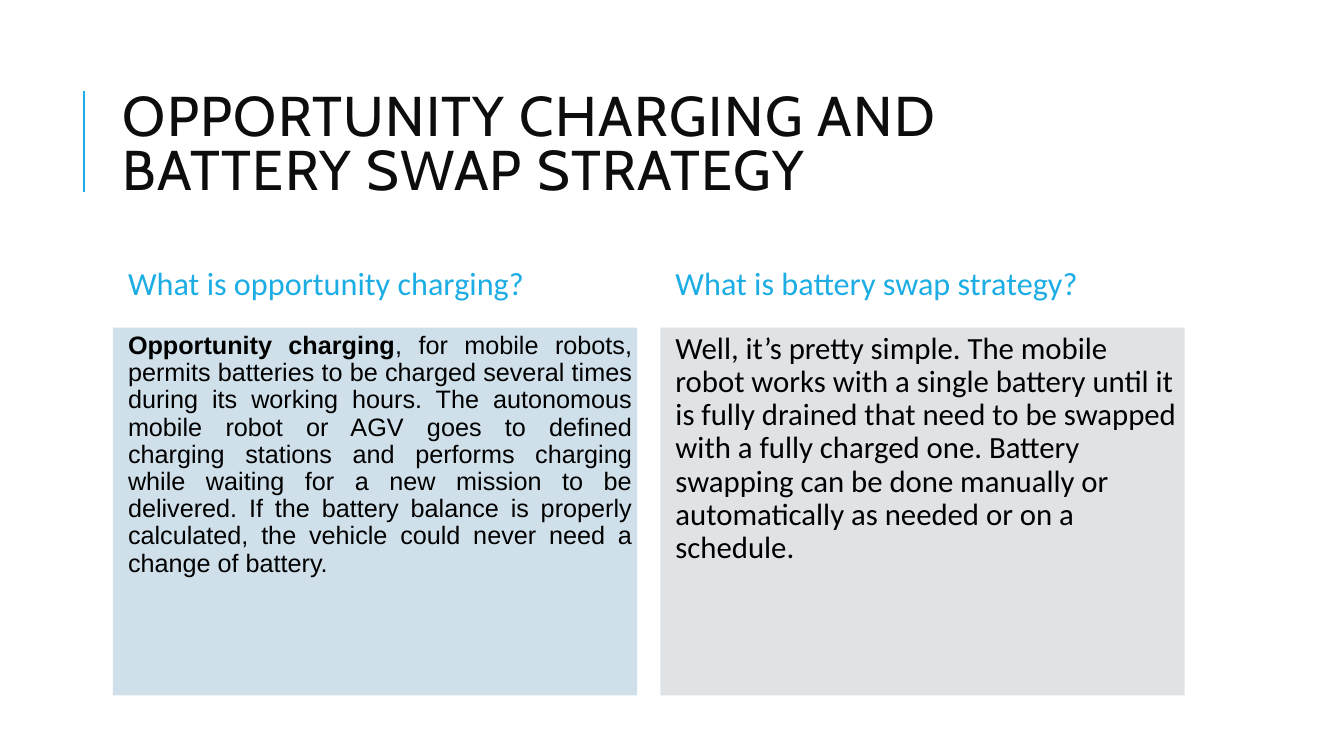
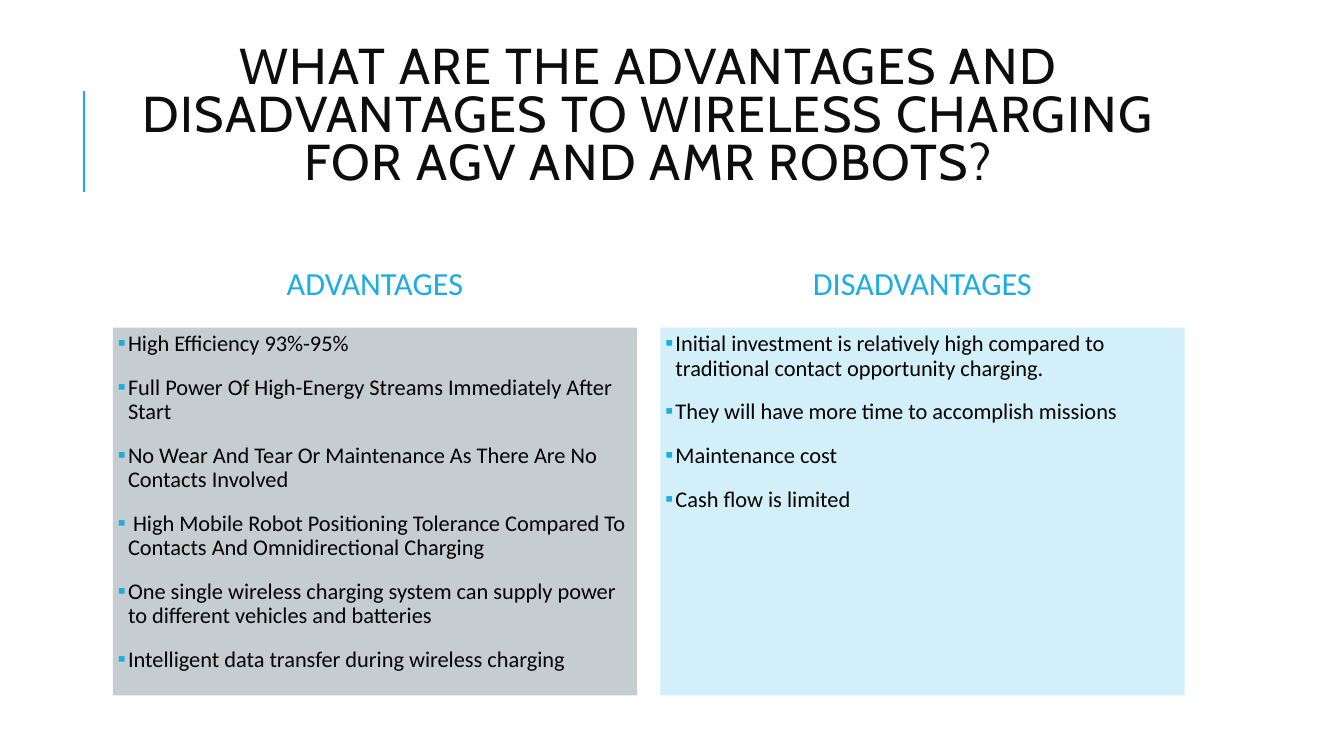
from lxml import etree
from pptx import Presentation
from pptx.dml.color import RGBColor
from pptx.enum.shapes import MSO_CONNECTOR, MSO_SHAPE
from pptx.enum.text import MSO_ANCHOR, PP_ALIGN
from pptx.oxml.ns import qn
from pptx.util import Inches, Pt

LEFT, CENTER, JUSTIFY = PP_ALIGN.LEFT, PP_ALIGN.CENTER, PP_ALIGN.JUSTIFY
TOP, MIDDLE = MSO_ANCHOR.TOP, MSO_ANCHOR.MIDDLE
RECTANGLE, STRAIGHT = MSO_SHAPE.RECTANGLE, MSO_CONNECTOR.STRAIGHT

ACCENT = RGBColor(0x1C, 0xAD, 0xE4)
TITLE_INK = RGBColor(0x0D, 0x0D, 0x0D)
BLACK = RGBColor(0, 0, 0)
PALE_BLUE = RGBColor(0xCF, 0xE0, 0xEA)
PALE_GRAY = RGBColor(0xDF, 0xE3, 0xE5)
GRAY = RGBColor(0xC6, 0xCD, 0xD1)
SKY = RGBColor(0xD2, 0xEF, 0xFA)

TITLE_FONT, BODY_FONT = "Cabin", "Calibri"
CONTENT_LEFT, CONTENT_WIDTH = 1.12, 10.63
COLUMN_WIDTH = 5.2
COLUMN_STEP = CONTENT_WIDTH - COLUMN_WIDTH
COLUMN_TOP, HEADING_HEIGHT = 2.38, 0.9
PANEL_OFFSET, PANEL_HEIGHT = 0.87, 3.65
HANGING = 0.1


def set_frame(shape, anchor, side, edge=0.05):
    frame = shape.text_frame
    frame.word_wrap = True
    frame.vertical_anchor = anchor
    frame.margin_left = frame.margin_right = Inches(side)
    frame.margin_top = frame.margin_bottom = Inches(edge)
    return frame


def add_run(paragraph, text, font, size, color, bold=False):
    run = paragraph.add_run()
    run.text = text
    run.font.name = font
    run.font.size = Pt(size)
    run.font.bold = bold
    run.font.color.rgb = color
    return run


def set_indent(paragraph, bulleted):
    """Indent the text and, if asked, hang a square accent bullet."""
    properties = paragraph._p.get_or_add_pPr()
    properties.set("marL", str(Inches(HANGING)))
    properties.set("indent", str(-Inches(HANGING) if bulleted else 0))
    if bulleted:
        color = etree.SubElement(properties, qn("a:buClr"))
        etree.SubElement(color, qn("a:srgbClr"), val=str(ACCENT))
        etree.SubElement(properties, qn("a:buFont"), typeface=BODY_FONT)
        etree.SubElement(properties, qn("a:buChar"), char="▪")


def add_title(slide, text, size, align=LEFT, lift=0):
    rule = slide.shapes.add_connector(
        STRAIGHT, Inches(0.83), Inches(1.9), Inches(0.83), Inches(0.9))
    rule.line.color.rgb = ACCENT
    rule.line.width = Pt(1.5)
    etree.SubElement(rule._element.spPr, qn("a:effectLst"))

    title = slide.shapes.add_textbox(
        Inches(CONTENT_LEFT), Inches(0.64 - lift), Inches(CONTENT_WIDTH), Inches(1.64))
    paragraph = set_frame(title, MIDDLE, 0.1).paragraphs[0]
    paragraph.alignment = align
    paragraph.line_spacing = 0.8
    run = add_run(paragraph, text, TITLE_FONT, size, TITLE_INK)
    run.font._element.set("spc", "100")


def add_heading(slide, left, top, text, align):
    heading = slide.shapes.add_textbox(
        Inches(left), Inches(top), Inches(COLUMN_WIDTH), Inches(HEADING_HEIGHT))
    paragraph = set_frame(heading, MIDDLE, 0.15).paragraphs[0]
    paragraph.alignment = align
    paragraph.line_spacing = 0.9
    add_run(paragraph, text, BODY_FONT, 23, ACCENT)


def add_panel(slide, left, top, fill, entries, size, font=BODY_FONT,
              align=LEFT, bulleted=False):
    """Fill a panel with entries, each a list of (text, bold) runs."""
    panel = slide.shapes.add_shape(
        RECTANGLE, Inches(left), Inches(top), Inches(COLUMN_WIDTH), Inches(PANEL_HEIGHT))
    panel.shadow.inherit = False
    panel.fill.solid()
    panel.fill.fore_color.rgb = fill
    panel.line.fill.background()
    frame = set_frame(panel, TOP, 0.05)
    for index, entry in enumerate(entries):
        paragraph = frame.add_paragraph() if index else frame.paragraphs[0]
        paragraph.alignment = align
        paragraph.line_spacing = 0.9
        paragraph.space_before = Pt(12)
        paragraph.space_after = Pt(2)
        set_indent(paragraph, bulleted)
        for text, bold in entry:
            add_run(paragraph, text, font, size, BLACK, bold)


def add_comparison(prs, title, columns, heading_align=LEFT):
    """Add a titled slide with two headed panels side by side."""
    slide = prs.slides.add_slide(prs.slide_layouts[6])
    add_title(slide, **title)
    for index, (heading, panel) in enumerate(columns):
        left = CONTENT_LEFT + index * COLUMN_STEP
        add_heading(slide, left, COLUMN_TOP, heading, heading_align)
        add_panel(slide, left, COLUMN_TOP + PANEL_OFFSET, **panel)


def bullet_panel(fill, *items):
    return {"fill": fill, "entries": [[(item, False)] for item in items],
            "size": 16, "bulleted": True}


OPPORTUNITY = [
    ("Opportunity charging", True),
    (", for mobile robots, permits batteries to be charged several times during its "
     "working hours. The autonomous mobile robot or AGV goes to defined charging "
     "stations and performs charging while waiting for a new mission to be delivered. "
     "If the battery balance is properly calculated, the vehicle could never need a "
     "change of battery.", False),
]
SWAP = [
    ("Well, it’s pretty simple. The mobile robot works with a single battery until it "
     "is fully drained that need to be swapped with a fully charged one. Battery "
     "swapping can be done manually or automatically as needed or on a schedule.", False),
]
ADVANTAGES = bullet_panel(
    GRAY,
    "High Efficiency 93%-95%",
    "Full Power Of High-Energy Streams Immediately After Start",
    "No Wear And Tear Or Maintenance As There Are No Contacts Involved",
    " High Mobile Robot Positioning Tolerance Compared To Contacts And "
    "Omnidirectional Charging",
    "One single wireless charging system can supply power to different vehicles "
    "and batteries",
    "Intelligent data transfer during wireless charging",
)
DISADVANTAGES = bullet_panel(
    SKY,
    "Initial investment is relatively high compared to traditional contact "
    "opportunity charging.",
    "They will have more time to accomplish missions",
    "Maintenance cost",
    "Cash flow is limited",
)


def main():
    prs = Presentation()
    prs.slide_width, prs.slide_height = Inches(13.33), Inches(7.5)
    add_comparison(
        prs,
        {"text": "OPPORTUNITY CHARGING AND BATTERY SWAP STRATEGY", "size": 40},
        [("What is opportunity charging?",
          {"fill": PALE_BLUE, "entries": [OPPORTUNITY], "size": 18,
           "font": "Arial", "align": JUSTIFY}),
         ("What is battery swap strategy?",
          {"fill": PALE_GRAY, "entries": [SWAP], "size": 22})])
    add_comparison(
        prs,
        {"text": "WHAT ARE THE ADVANTAGES AND DISADVANTAGES TO WIRELESS CHARGING "
                 "FOR AGV AND AMR ROBOTS?",
         "size": 36, "align": CENTER, "lift": 0.29},
        [("ADVANTAGES", ADVANTAGES), ("DISADVANTAGES", DISADVANTAGES)],
        heading_align=CENTER)
    prs.save("out.pptx")


if __name__ == "__main__":
    main()
